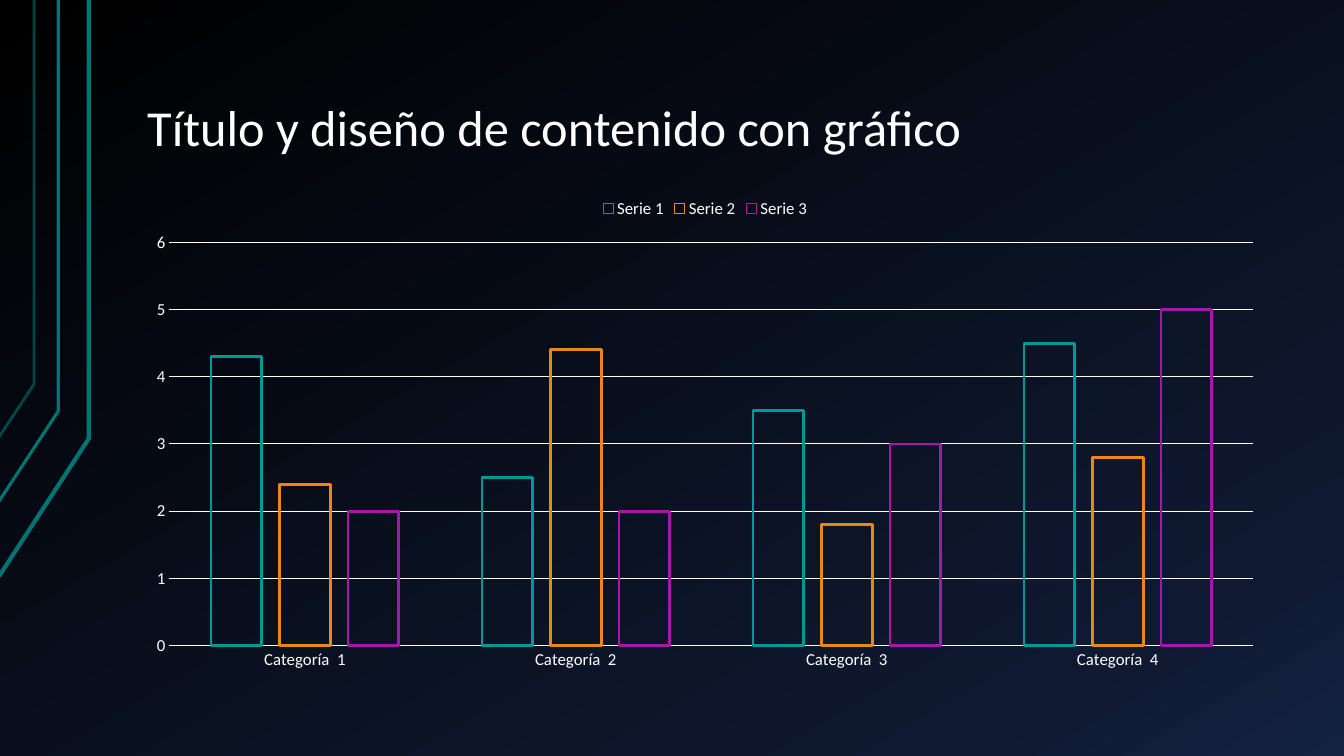
from copy import deepcopy

from lxml import etree
from pptx import Presentation
from pptx import util as u
from pptx.chart.data import CategoryChartData
from pptx.dml.color import RGBColor
from pptx.enum import chart as ch
from pptx.enum import text as t
from pptx.oxml.ns import qn

WHITE = RGBColor(0xFF, 0xFF, 0xFF)
BLACK = RGBColor(0x00, 0x00, 0x00)
NAVY = RGBColor(0x0F, 0x19, 0x31)
BLUE = RGBColor(0x14, 0x22, 0x42)
DARK_TEAL = RGBColor(0x00, 0x73, 0x73)
TEAL = RGBColor(0x00, 0x99, 0x99)
ORANGE = RGBColor(0xE9, 0x89, 0x15)
PURPLE = RGBColor(0xA4, 0x19, 0xA7)

LEFT, WIDTH = u.Cm(3.38), u.Cm(28.78)


class SlideBuilder:
    font_name = "Calibri"

    def __init__(self, slide):
        self.slide = slide

    def style_font(self, font, size):
        font.name = self.font_name
        font.size = u.Pt(size)
        font.color.rgb = WHITE

    def background(self, colors, positions, angle):
        fill = self.slide.background.fill
        fill.gradient()
        fill.gradient_angle = 360 - angle
        stop_list = self.slide.background._cSld.find(".//" + qn("a:gsLst"))
        stop_list.append(deepcopy(stop_list[-1]))
        for stop, color, position in zip(fill.gradient_stops, colors, positions):
            stop.color.rgb = color
            stop.position = position

    def title(self, words):
        box = self.slide.shapes.title
        box.left, box.top, box.width, box.height = LEFT, u.Cm(0.76), WIDTH, u.Cm(3.4)
        frame = box.text_frame
        frame.text = words
        frame.word_wrap = True
        frame.auto_size = t.MSO_AUTO_SIZE.NONE
        frame.vertical_anchor = t.MSO_ANCHOR.BOTTOM
        frame.margin_left = frame.margin_right = u.Cm(0.33)
        frame.margin_top = frame.margin_bottom = u.Cm(0.18)
        para = frame.paragraphs[0]
        para.alignment = t.PP_ALIGN.LEFT
        para.line_spacing = 0.9
        self.style_font(para.runs[0].font, 36)

    def bent_line(self, points, weight, opacity):
        start, *rest = [(u.Cm(x), u.Cm(y)) for x, y in points]
        builder = self.slide.shapes.build_freeform(*start)
        builder.add_line_segments(rest, close=False)
        shape = builder.convert_to_shape()
        shape.shadow.inherit = False
        shape.fill.background()
        shape.line.color.rgb = DARK_TEAL
        shape.line.width = u.Pt(weight)
        color = shape.line._ln.find(".//" + qn("a:srgbClr"))
        etree.SubElement(color, qn("a:alpha")).set("val", str(opacity * 1000))

    def column_chart(self, categories, series):
        data = CategoryChartData()
        data.categories = categories
        for name, values, _ in series:
            data.add_series(name, values)
        chart = self.slide.shapes.add_chart(
            ch.XL_CHART_TYPE.COLUMN_CLUSTERED, LEFT, u.Cm(4.72), WIDTH, u.Cm(12.4), data
        ).chart
        self.style_font(chart.font, 10)
        chart.has_title = False
        chart.has_legend = True
        chart.legend.position = ch.XL_LEGEND_POSITION.TOP
        chart.legend.include_in_layout = False
        self.style_font(chart.legend.font, 12)

        for axis in (chart.category_axis, chart.value_axis):
            axis.major_tick_mark = axis.minor_tick_mark = ch.XL_TICK_MARK.NONE
            axis.format.line.fill.background()
            self.style_font(axis.tick_labels.font, 12)
        scale = chart.value_axis
        scale.minimum_scale, scale.maximum_scale, scale.major_unit = 0, 6, 1
        scale.has_major_gridlines = True
        scale.major_gridlines.format.line.color.rgb = WHITE
        scale.major_gridlines.format.line.width = u.Pt(0.75)

        plot = chart.plots[0]
        plot.gap_width, plot.overlap = 164, -35
        plot.vary_by_categories = False
        for columns, (_, _, color) in zip(plot.series, series):
            columns.format.fill.background()
            columns.format.line.color.rgb = color
            columns.format.line.width = u.Pt(2)


def main():
    deck = Presentation()
    deck.slide_width, deck.slide_height = u.Cm(33.87), u.Cm(19.05)
    page = SlideBuilder(deck.slides.add_slide(deck.slide_layouts[5]))
    page.background((BLACK, NAVY, BLUE), (0, 0.85, 1), 60)
    for start, bend, weight, opacity in (
        ((-0.03, 14.53), (2.24, 11.05), 3, 100),
        ((-0.05, 12.67), (1.47, 10.36), 2.25, 100),
        ((-0.03, 11.02), (0.86, 9.68), 2, 60),
    ):
        page.bent_line((start, bend, (bend[0], 0)), weight, opacity)
    page.title("Título y diseño de contenido con gráfico")
    page.column_chart(
        [f"Categoría  {number}" for number in range(1, 5)],
        (
            ("Serie 1", (4.3, 2.5, 3.5, 4.5), TEAL),
            ("Serie 2", (2.4, 4.4, 1.8, 2.8), ORANGE),
            ("Serie 3", (2, 2, 3, 5), PURPLE),
        ),
    )
    deck.save("out.pptx")


if __name__ == "__main__":
    main()
